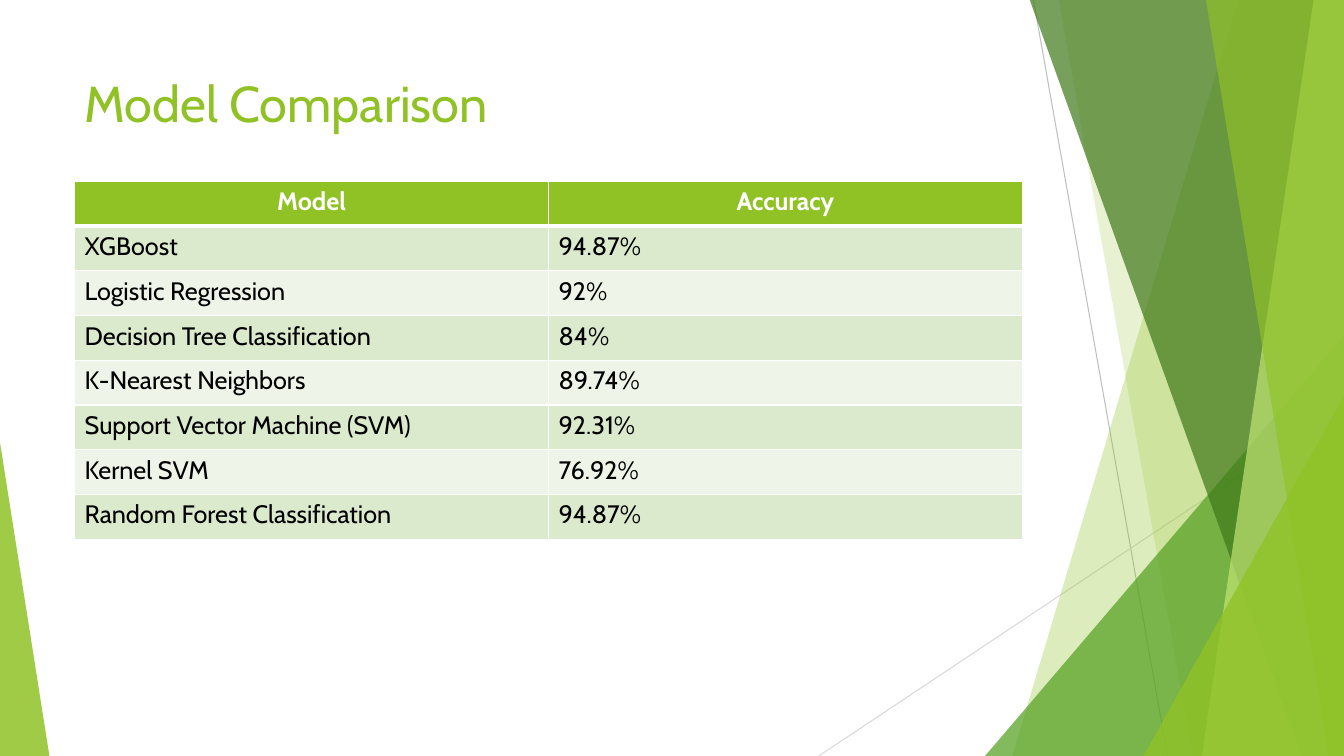
from lxml.etree import SubElement
from pptx import Presentation
from pptx.dml.color import RGBColor
from pptx.enum.shapes import MSO_CONNECTOR, MSO_SHAPE
from pptx.enum.text import MSO_ANCHOR, PP_ALIGN
from pptx.oxml.ns import qn
from pptx.util import Emu, Pt

EMU_PER_PX = 9144  # 100 px to the inch
WIDTH, HEIGHT = 1333, 750
FONT = "Cabin"
GREEN, WHITE, BLACK = "90C226", "FFFFFF", "000000"
BANDS = ["DBE9CD", "EEF4E8"]

HEADER = ("Model", "Accuracy")
RESULTS = [
    ("XGBoost", "94.87%"),
    ("Logistic Regression", "92%"),
    ("Decision Tree Classification", "84%"),
    ("K-Nearest Neighbors", "89.74%"),
    ("Support Vector Machine (SVM)", "92.31%"),
    ("Kernel SVM", "76.92%"),
    ("Random Forest Classification", "94.87%"),
]


def px(n):
    return Emu(n * EMU_PER_PX)


def rgb(color):
    return RGBColor.from_string(color)


def paint(sp, color, opacity):
    """Fill a shape at an opacity in percent, without outline or shadow."""
    sp.shadow.inherit = False
    sp.fill.solid()
    sp.fill.fore_color.rgb = rgb(color)
    sp.line.fill.background()
    clr = sp.fill._xPr.find(qn("a:solidFill"))[0]
    SubElement(clr, qn("a:alpha"), val=str(opacity * 1000))


def add_line(s, x1, y1, x2, y2, color):
    line = s.shapes.add_connector(
        MSO_CONNECTOR.STRAIGHT, px(x1), px(y1), px(x2), px(y2))
    line.line.color.rgb = rgb(color)
    line.line.width = Pt(0.75)
    SubElement(line._element.spPr, qn("a:effectLst"))


def add_facet(s, top_x, bottom_x, color, opacity):
    """Add a full-height panel from a slanted left edge to the slide's right edge."""
    fb = s.shapes.build_freeform(top_x, -1, scale=EMU_PER_PX)
    fb.add_line_segments([(WIDTH, -1), (WIDTH, HEIGHT), (bottom_x, HEIGHT)])
    paint(fb.convert_to_shape(), color, opacity)


def add_corner(s, x, y, w, apex, color, opacity):
    """Add a triangle that stands on the slide's bottom edge."""
    sp = s.shapes.add_shape(
        MSO_SHAPE.ISOSCELES_TRIANGLE, px(x), px(y), px(w), px(HEIGHT - y))
    sp.adjustments[0] = apex
    paint(sp, color, opacity)


def add_run(p, text, size, color, bold=False):
    r = p.add_run()
    r.text = text
    r.font.name = FONT
    r.font.size = Pt(size)
    r.font.bold = bold
    r.font.color.rgb = rgb(color)


def add_title(s, text):
    tf = s.shapes.add_textbox(px(74), px(67), px(940), px(144)).text_frame
    tf.word_wrap = True
    tf.vertical_anchor = MSO_ANCHOR.TOP
    add_run(tf.paragraphs[0], text, 36, GREEN)


def set_borders(cell, top, bottom):
    tc_pr = cell._tc.get_or_add_tcPr()
    for side, width in (("L", 1), ("R", 1), ("T", top), ("B", bottom)):
        ln = SubElement(tc_pr, qn(f"a:ln{side}"), w=str(Pt(width)))
        fill = SubElement(ln, qn("a:solidFill"))
        SubElement(fill, qn("a:srgbClr"), val=WHITE)


def add_results_table(s):
    rows = [HEADER, *RESULTS]
    table = s.shapes.add_table(
        len(rows), len(HEADER), px(74), px(180), px(940), px(355)).table
    table.horz_banding = False
    for i, values in enumerate(rows):
        is_header = i == 0
        for j, text in enumerate(values):
            cell = table.cell(i, j)
            set_borders(cell, 3 if i == 1 else 1, 3 if is_header else 1)
            cell.fill.solid()
            cell.fill.fore_color.rgb = rgb(GREEN if is_header else BANDS[(i - 1) % 2])
            p = cell.text_frame.paragraphs[0]
            p.alignment = PP_ALIGN.CENTER if is_header else PP_ALIGN.LEFT
            add_run(p, text, 18, WHITE if is_header else BLACK, is_header)


def add_backdrop(s):
    add_line(s, 1025, 0, 1158, HEIGHT, "BFBFBF")
    add_line(s, WIDTH, 403, 812, HEIGHT, "D9D9D9")
    add_facet(s, 1228, 1004, GREEN, 30)
    add_facet(s, 1050, 1183, GREEN, 20)
    add_corner(s, 977, 333, 356, 1, "54A021", 72)
    add_facet(s, 1021, 1291, "3F7819", 70)
    add_facet(s, 1303, 1192, "C0E474", 70)
    add_facet(s, 1196, 1318, GREEN, 65)
    add_corner(s, 1134, 393, 199, 1, GREEN, 80)
    add_corner(s, 0, 439, 49, 0, GREEN, 85)


def main():
    prs = Presentation()
    prs.slide_width, prs.slide_height = px(WIDTH), px(HEIGHT)
    s = prs.slides.add_slide(prs.slide_layouts[6])
    add_backdrop(s)
    add_title(s, "Model Comparison")
    add_results_table(s)
    prs.save("out.pptx")


if __name__ == "__main__":
    main()
